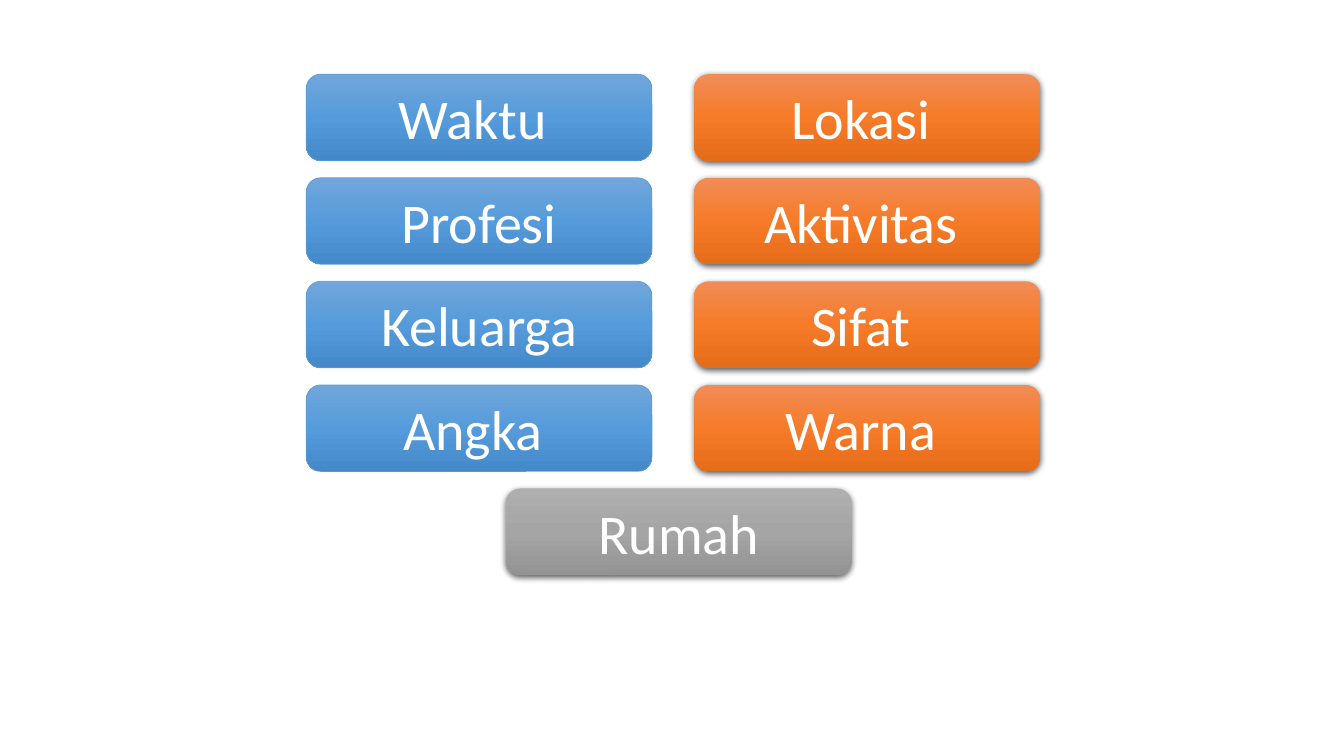
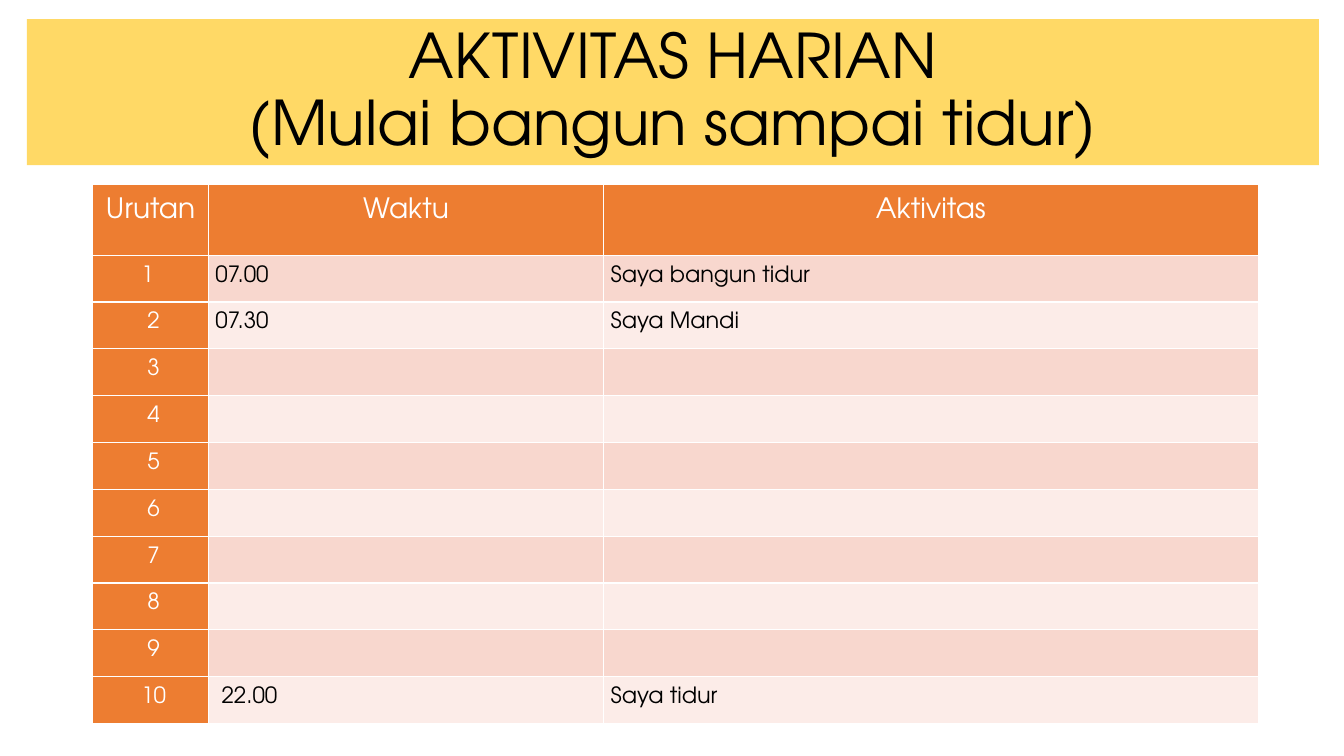
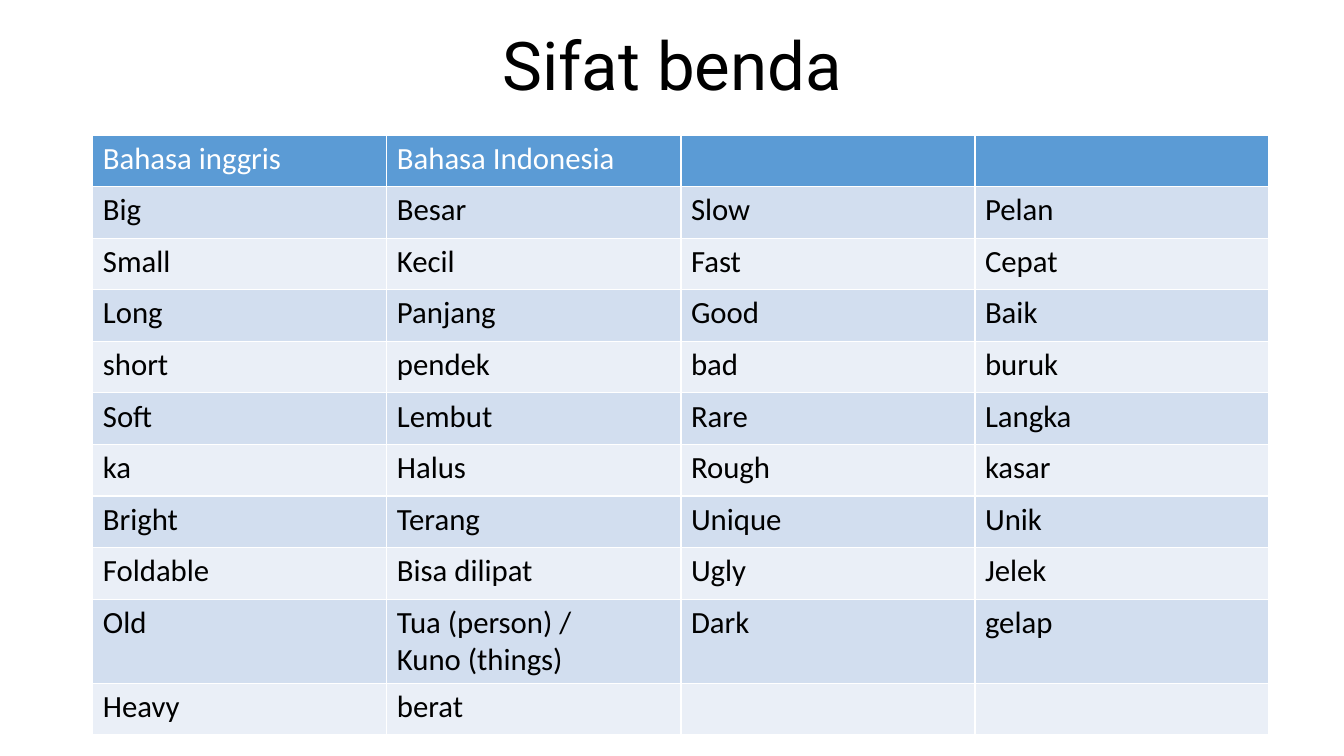
import copy

import lxml.etree
import pptx
import pptx.dml.color
import pptx.enum.shapes
import pptx.enum.text
import pptx.oxml.ns
import pptx.util

Cm = pptx.util.Cm
Pt = pptx.util.Pt
qn = pptx.oxml.ns.qn
ALIGN = pptx.enum.text.PP_ALIGN
MIDDLE = pptx.enum.text.MSO_ANCHOR.MIDDLE
SHAPE = pptx.enum.shapes.MSO_SHAPE

HUES = {
    "white": "FFFFFF",
    "black": "000000",
    "gold": "FFD966",
    "orange": "ED7D31",
    "peach": "F8D7CE",
    "blush": "FCECE8",
    "blue": "5B9BD5",
    "sky": "D2DEEF",
    "mist": "EAEFF7",
}
BLENDS = {
    "blue": ("71A6DB", "559BDB", "448ACA"),
    "orange": ("F18C57", "F67B28", "E56C19"),
    "grey": ("AFAFAF", "A5A5A5", "939393"),
}
SANS = "Calibri"
ROUND = "TeX Gyre Adventor"

LEFT_WORDS = ["Waktu ", "Profesi", "Keluarga", "Angka "]
RIGHT_WORDS = ["Lokasi ", "Aktivitas ", "Sifat ", "Warna "]

DAY_ROWS = [
    ["Urutan", "Waktu", "Aktivitas"],
    ["1 ", "07.00", "Saya bangun tidur"],
    [" 2", "07.30", "Saya Mandi"],
    *[[f" {number}", "", ""] for number in range(3, 10)],
    [" 10", " 22.00", "Saya tidur"],
]
TRAIT_ROWS = [
    ["Bahasa inggris", "Bahasa Indonesia", "", ""],
    ["Big", "Besar", "Slow", "Pelan"],
    ["Small", "Kecil", "Fast", "Cepat"],
    ["Long", "Panjang", "Good", "Baik"],
    ["short", "pendek", "bad", "buruk"],
    ["Soft", "Lembut", "Rare", "Langka"],
    ["ka", "Halus", "Rough", "kasar"],
    ["Bright", "Terang", "Unique", "Unik"],
    ["Foldable", "Bisa dilipat", "Ugly", "Jelek"],
    ["Old", "Tua (person) /\nKuno (things)", "Dark", "gelap"],
    ["Heavy", "berat", "", ""],
]


def rgb(code):
    return pptx.dml.color.RGBColor.from_string(code)


def paint(fill, hue):
    fill.solid()
    fill.fore_color.rgb = rgb(HUES[hue])


def write(frame, text, size=22, font=SANS, hue="black", align=ALIGN.LEFT, space=None):
    frame.word_wrap = True
    for index, line in enumerate(text.split("\n")):
        para = frame.add_paragraph() if index else frame.paragraphs[0]
        para.alignment = align
        if space:
            para.line_spacing = space
        run = para.add_run()
        run.text = line
        run.font.size = Pt(size)
        run.font.name = font
        run.font.bold = False
        run.font.color.rgb = rgb(HUES[hue])


def blend(shape, codes):
    shape.fill.gradient()
    shape.fill.gradient_angle = 270
    first = next(shape._element.spPr.iter(qn("a:gs")))
    first.addnext(copy.deepcopy(first))
    stops = shape.fill.gradient_stops
    for stop, code, place in zip(stops, codes, (0, 0.5, 1)):
        stop.color.rgb = rgb(code)
        stop.position = place


def shade(shape):
    effects = shape._element.spPr.find(qn("a:effectLst"))
    outer = lxml.etree.SubElement(
        effects, qn("a:outerShdw"), blurRad=str(Pt(4.5)), dist=str(Pt(1.5)),
        dir="5400000", algn="ctr", rotWithShape="0")
    tone = lxml.etree.SubElement(outer, qn("a:srgbClr"), val=HUES["black"])
    lxml.etree.SubElement(tone, qn("a:alpha"), val="63000")


def button(slide, text, left, row, tint, edge=None):
    shape = slide.shapes.add_shape(
        SHAPE.ROUNDED_RECTANGLE, Cm(left), Cm(1.87 + 2.61 * row), Cm(8.71), Cm(2.18))
    shape.shadow.inherit = False
    blend(shape, BLENDS[tint])
    if edge:
        shape.line.color.rgb = rgb(HUES[edge])
        shape.line.width = Pt(0.5)
    else:
        shape.line.fill.background()
        shade(shape)
    shape.text_frame.vertical_anchor = MIDDLE
    write(shape.text_frame, text, size=40, hue="white", align=ALIGN.CENTER)


def title(slide, text, left, top, width, height, size, font, hue=None):
    box = slide.shapes.add_textbox(Cm(left), Cm(top), Cm(width), Cm(height))
    if hue:
        paint(box.fill, hue)
    box.text_frame.vertical_anchor = MIDDLE
    write(box.text_frame, text, size=size, font=font, align=ALIGN.CENTER, space=0.9)


def grid(slide, rows, top, widths, head, height, main, bands, tight=False):
    table = slide.shapes.add_table(
        len(rows), len(widths), Cm(2.34), Cm(top), Cm(sum(widths)),
        Cm(head + height * (len(rows) - 1))).table
    table.first_col = tight
    for column, width in zip(table.columns, widths):
        column.width = Cm(width)
    for r, words in enumerate(rows):
        table.rows[r].height = Cm(height if r else head)
        for c, text in enumerate(words):
            cell = table.cell(r, c)
            bold = r == 0 or (tight and c == 0)
            paint(cell.fill, main if bold else bands[(r - 1) % 2])
            if not text:
                continue
            look = {"hue": "white" if bold else "black"}
            if tight:
                cell.margin_left = cell.margin_right = Cm(0.18)
                cell.margin_top = cell.margin_bottom = 0
                look.update(size=16 if r else 20, font=ROUND, space=1.5,
                            align=ALIGN.CENTER if bold else ALIGN.LEFT)
            write(cell.text_frame, text, **look)


def topics(slide):
    for row, text in enumerate(LEFT_WORDS):
        button(slide, text, 7.72, row, "blue", edge="blue")
    for row, text in enumerate(RIGHT_WORDS):
        button(slide, text, 17.5, row, "orange")
    button(slide, "Rumah", 12.75, 4, "grey")


def daily(slide):
    title(slide, "AKTIVITAS HARIAN\n(Mulai bangun sampai tidur)",
          0.68, 0.48, 32.56, 3.68, 44, ROUND, hue="gold")
    grid(slide, DAY_ROWS, 4.65, [2.91, 9.96, 16.5], 1.78, 1.18,
         "orange", ("peach", "blush"), tight=True)


def traits(slide):
    title(slide, "Sifat benda", 2.34, 0.71, 29.21, 2.06, 48, "Roboto")
    grid(slide, TRAIT_ROWS, 3.4, [7.41] * 4, 1.3, 1.3, "blue", ("sky", "mist"))


def main():
    deck = pptx.Presentation()
    deck.slide_width = Cm(33.87)
    deck.slide_height = Cm(19.05)
    for build in (topics, daily, traits):
        build(deck.slides.add_slide(deck.slide_layouts[6]))
    deck.save("out.pptx")


if __name__ == "__main__":
    main()
